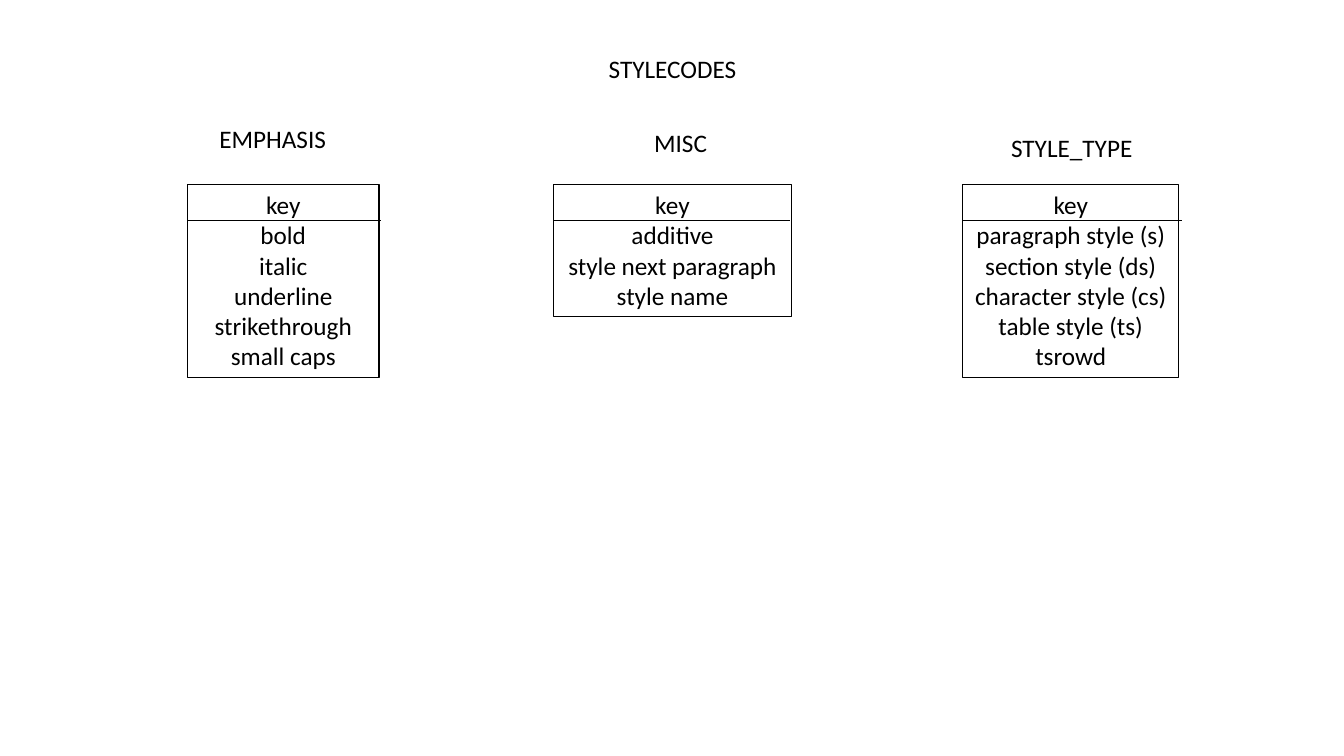
from pptx import Presentation
from pptx.dml.color import RGBColor
from pptx.enum.shapes import MSO_CONNECTOR, MSO_SHAPE
from pptx.enum.text import MSO_ANCHOR, MSO_AUTO_SIZE, PP_ALIGN
from pptx.oxml.ns import qn
from pptx.util import Inches, Pt
from lxml import etree

BLACK = "000000"
BOX_TOP = 1.83
HEADER_HEIGHT = 0.36
LABEL_HEIGHT = 0.4

# heading, heading (left, top, width), box (left, width, height), rule width, entries
CODE_LISTS = [
    ("EMPHASIS", (2.07, 1.17, 1.27), (1.86, 1.9, 1.92), 1.92,
     ["bold", "italic", "underline", "strikethrough", "small caps"]),
    ("MISC", (5.87, 1.21, 1.76), (5.49, 2.36, 1.31), 2.35,
     ["additive", "style next paragraph", "style name"]),
    ("STYLE_TYPE", (9.55, 1.26, 2.16), (9.55, 2.14, 1.92), 2.17,
     ["paragraph style (s)", "section style (ds)", "character style (cs)",
      "table style (ts)", "tsrowd"]),
]


def color(hex_string):
    return RGBColor.from_string(hex_string)


def write_text(shape, lines, size=18, font="Calibri", fill=BLACK, wrap=True):
    """Write centred lines, one paragraph each, from the top of the shape."""
    frame = shape.text_frame
    frame.text = "\n".join(lines)
    frame.word_wrap = wrap
    frame.auto_size = MSO_AUTO_SIZE.NONE
    frame.vertical_anchor = MSO_ANCHOR.TOP
    for paragraph in frame.paragraphs:
        paragraph.alignment = PP_ALIGN.CENTER
        for run in paragraph.runs:
            run.font.size = Pt(size)
            run.font.name = font
            run.font.color.rgb = color(fill)


def add_title(slide, text, left, top, width):
    title = slide.shapes.title
    title.left, title.top = Inches(left), Inches(top)
    title.width, title.height = Inches(width), Inches(LABEL_HEIGHT)
    write_text(title, [text], wrap=False)


def add_heading(slide, text, left, top, width):
    heading = slide.shapes.add_textbox(
        Inches(left), Inches(top), Inches(width), Inches(LABEL_HEIGHT))
    write_text(heading, [text])


def add_key_box(slide, entries, left, top, width, height, rule_width):
    """Outlined list whose first line, the key, is ruled off from the entries."""
    group = slide.shapes.add_group_shape()
    box = group.shapes.add_shape(
        MSO_SHAPE.RECTANGLE, Inches(left), Inches(top), Inches(width), Inches(height))
    box.shadow.inherit = False
    box.fill.background()
    box.line.color.rgb = color(BLACK)
    box.line.width = Pt(0.75)
    write_text(box, ["key"] + entries)

    rule_top = Inches(top + HEADER_HEIGHT)
    rule = group.shapes.add_connector(
        MSO_CONNECTOR.STRAIGHT, Inches(left), rule_top, Inches(left + rule_width), rule_top)
    rule.line.color.rgb = color(BLACK)
    rule.line.width = Pt(0.5)
    etree.SubElement(rule.element.spPr, qn("a:effectLst"))


# Presentation
presentation = Presentation()
presentation.slide_width = Inches(13.33)
presentation.slide_height = Inches(7.5)
slide = presentation.slides.add_slide(presentation.slide_layouts.get_by_name("Title Only"))

# Title
add_title(slide, "STYLECODES", 5.93, 0.48, 1.48)

# Lists of codes with their headings
for heading, heading_place, (left, width, height), rule_width, entries in CODE_LISTS:
    add_key_box(slide, entries, left, BOX_TOP, width, height, rule_width)
    add_heading(slide, heading, *heading_place)

presentation.save("out.pptx")
